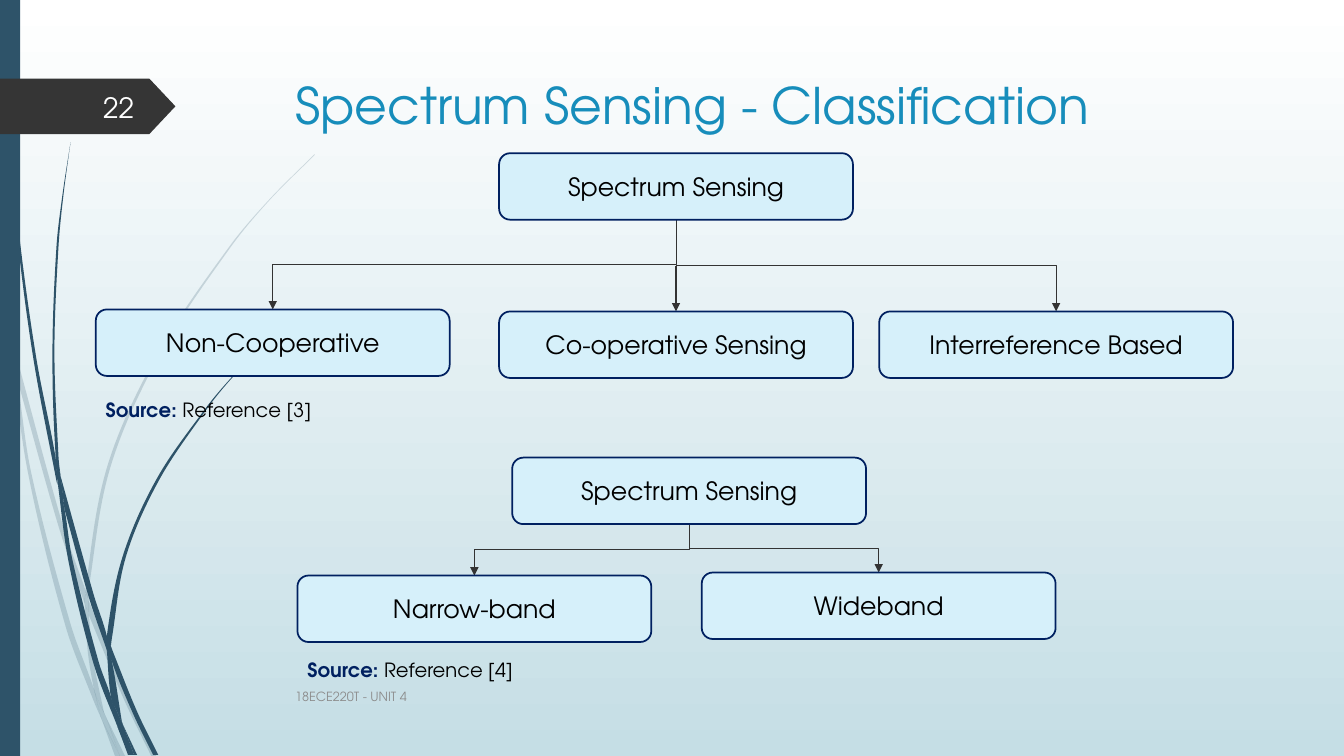
from lxml.etree import SubElement
from pptx import Presentation
from pptx.dml.color import RGBColor
from pptx.enum.shapes import MSO_CONNECTOR, MSO_SHAPE
from pptx.enum.text import MSO_ANCHOR, PP_ALIGN
from pptx.oxml.ns import qn
from pptx.util import Pt

PX = 9144
WIDTH, HEIGHT = 1333, 750
NODE_W, NODE_H = 351, 66
FONT = "TeX Gyre Adventor"

WHITE = RGBColor(0xFF, 0xFF, 0xFF)
PALE_TEAL = RGBColor(0xC5, 0xDE, 0xE5)
SLATE = RGBColor(0x2E, 0x53, 0x69)
CHARCOAL = RGBColor(0x35, 0x35, 0x35)
LINE_GRAY = RGBColor(0x33, 0x33, 0x33)
TITLE_BLUE = RGBColor(0x17, 0x8D, 0xBB)
FOOTER_GRAY = RGBColor(0x8C, 0x8C, 0x8C)
NODE_BLUE = RGBColor(0xD6, 0xF0, 0xFA)
NAVY = RGBColor(0x00, 0x20, 0x60)
BLACK = RGBColor(0x00, 0x00, 0x00)

FAINT_BLADES = [
    ([(0, 282), (9, 322), (11, 350)], [(0, 299), (10, 344), (11, 350)]),
    ([(14, 345), (62, 520), (85, 586)], [(17, 376), (58, 522), (84, 599)]),
    ([(88, 596), (127, 692), (155, 750)], [(88, 610), (123, 694), (150, 750)]),
    ([(105, 711), (124, 750)], [(105, 711), (119, 750)]),
    ([(11, 350), (17, 376), (31, 469), (70, 619), (93, 683), (99, 707), (101, 714)],
     [(11, 350), (28, 470), (65, 621), (92, 693), (101, 714)]),
    ([(84, 599), (88, 610), (91, 646), (103, 706), (105, 711)],
     [(84, 599), (87, 646), (93, 683), (96, 692), (105, 711)]),
    ([(312, 153), (268, 197), (228, 244), (158, 348), (107, 461), (85, 584), (88, 596)],
     [(312, 154), (268, 198), (229, 245), (160, 349), (110, 462), (88, 584), (88, 596)]),
    ([(101, 714), (119, 750)], [(101, 714), (114, 750)]),
    ([(85, 586), (88, 596), (88, 610)], [(85, 586), (84, 599), (88, 608)]),
    ([(93, 683), (96, 692), (105, 711), (119, 750)],
     [(93, 683), (99, 707), (101, 714), (119, 750)]),
]
DARK_BLADES = [
    ([(4, 0), (8, 109), (19, 232), (36, 355), (55, 453), (57, 481)],
     [(3, 0), (7, 110), (17, 233), (33, 355), (56, 477), (57, 481)]),
    ([(60, 472), (93, 590), (106, 631), (106, 645)], [(64, 505), (88, 592), (106, 645)]),
    ([(110, 641), (113, 649), (136, 706), (157, 749)],
     [(110, 641), (111, 656), (132, 708), (152, 749)]),
    ([(57, 477), (64, 505), (72, 556), (98, 657), (110, 691), (117, 722)],
     [(57, 477), (68, 557), (93, 659), (117, 722)]),
    ([(70, 141), (62, 193), (56, 245), (52, 349), (55, 449), (60, 472)],
     [(70, 141), (63, 193), (58, 245), (54, 349), (58, 453), (60, 472)]),
    ([(122, 719), (136, 749)], [(122, 719), (133, 749)]),
    ([(55, 449), (60, 472), (64, 505)], [(55, 449), (57, 477), (64, 505)]),
    ([(260, 344), (231, 373), (204, 405), (156, 474), (122, 551), (106, 631), (110, 641)],
     [(261, 344), (231, 374), (205, 406), (158, 476), (125, 552), (111, 633), (110, 641)]),
    ([(117, 722), (131, 749)], [(117, 722), (127, 749)]),
    ([(106, 645), (111, 656), (121, 716), (122, 719)],
     [(106, 645), (110, 691), (116, 706), (122, 719)]),
    ([(106, 631), (110, 641), (111, 656)], [(106, 631), (106, 645), (111, 656)]),
    ([(110, 691), (116, 706), (122, 719), (133, 749)],
     [(110, 691), (117, 722), (130, 749)]),
]


def bend(knots):
    last = len(knots) - 1
    slopes = []
    for i in range(last + 1):
        (x0, y0), (x1, y1) = knots[max(i - 1, 0)], knots[min(i + 1, last)]
        slopes.append((x1 - x0) / (y1 - y0))
    curves = []
    for i in range(last):
        (x0, y0), (x1, y1) = knots[i], knots[i + 1]
        third = (y1 - y0) / 3
        curves.append([(x0, y0), (x0 + slopes[i] * third, y0 + third),
                       (x1 - slopes[i + 1] * third, y1 - third), (x1, y1)])
    return curves


def paint(shape, fill, line=None):
    shape.shadow.inherit = False
    shape.fill.solid()
    shape.fill.fore_color.rgb = fill
    if line is None:
        shape.line.fill.background()
    else:
        shape.line.color.rgb = line
        shape.line.width = Pt(1.25)


def add_blade(slide, left, top, edges, opacity):
    near, far = (bend([(left + x, top + y) for x, y in edge]) for edge in edges)
    tip = far[-1][-1]
    curves = near + [[near[-1][-1], near[-1][-1], tip, tip]]
    curves += [curve[::-1] for curve in far[::-1]]
    builder = slide.shapes.build_freeform(*(v * PX for v in curves[0][0]))
    builder.add_line_segments([(x * PX, y * PX) for *_, (x, y) in curves])
    blade = builder.convert_to_shape()
    paint(blade, SLATE)
    properties = blade.element.spPr
    for segment, curve in zip(list(properties.iter(qn("a:lnTo"))), curves):
        cubic = segment.getparent().makeelement(qn("a:cubicBezTo"))
        for x, y in curve[1:]:
            SubElement(cubic, qn("a:pt"), x=str(round(x * PX) - blade.left),
                       y=str(round(y * PX) - blade.top))
        segment.getparent().replace(segment, cubic)
    if opacity < 100:
        color = properties.find(qn("a:solidFill"))[0]
        SubElement(color, qn("a:alpha"), val=str(opacity * 1000))


def add_block(slide, preset, box, fill, line=None):
    block = slide.shapes.add_shape(preset, *(v * PX for v in box))
    paint(block, fill, line)
    return block


def write(frame, runs, size, align=PP_ALIGN.LEFT, anchor=MSO_ANCHOR.TOP):
    frame.word_wrap = True
    frame.vertical_anchor = anchor
    paragraph = frame.paragraphs[0]
    paragraph.alignment = align
    for words, color, bold in runs:
        run = paragraph.add_run()
        run.text = words
        run.font.name = FONT
        run.font.size = Pt(size)
        run.font.bold = bold
        run.font.color.rgb = color


def add_text(slide, box, runs, size, **layout):
    label = slide.shapes.add_textbox(*(v * PX for v in box))
    write(label.text_frame, runs, size, **layout)


def add_node(slide, left, top, words):
    node = add_block(slide, MSO_SHAPE.ROUNDED_RECTANGLE,
                     (left, top, NODE_W, NODE_H), NODE_BLUE, NAVY)
    write(node.text_frame, [(words, BLACK, False)], 18, PP_ALIGN.CENTER, MSO_ANCHOR.MIDDLE)


def add_branch(slide, x1, y1, x2, y2):
    mid_x, mid_y = (x1 + x2) / 2, (y1 + y2) / 2
    kind, ends = MSO_CONNECTOR.ELBOW, (x1, mid_y, x2, y2)
    if x2 == x1:
        kind = MSO_CONNECTOR.STRAIGHT
    elif x2 < x1:
        half_w, half_h = (x2 - x1) / 2, (y2 - y1) / 2
        ends = (mid_x - half_h, mid_y + half_w, mid_x + half_h, mid_y - half_w)
    branch = slide.shapes.add_connector(kind, *(round(v * PX) for v in ends))
    branch.line.color.rgb = LINE_GRAY
    branch.line.width = Pt(0.75)
    properties = branch.element.spPr
    if x2 < x1:
        properties.find(qn("a:xfrm")).set("rot", "5400000")
    elif x2 > x1:
        properties.find(qn("a:prstGeom")).set("prst", "bentConnector2")
    SubElement(properties.find(qn("a:ln")), qn("a:tailEnd"), type="triangle")
    SubElement(properties, qn("a:effectLst"))


def add_tree(slide, box, root, children, source, source_top):
    left, top, width, height = box
    root_x, root_words = root
    for x, rise, words in children:
        child_top = top + height - NODE_H - rise
        add_branch(slide, left + root_x + NODE_W / 2, top + NODE_H,
                   left + x + NODE_W / 2, child_top)
        add_node(slide, left + x, child_top, words)
    add_node(slide, left + root_x, top, root_words)
    add_text(slide, (left, top + source_top, 512, 34),
             [("Source: ", NAVY, True), (source, BLACK, False)], 14)


def add_backdrop(slide, box):
    left, top, width, height = box
    fill = slide.background.fill
    fill.gradient()
    fill.gradient_angle = 270
    for stop, color, position in zip(fill.gradient_stops, (WHITE, PALE_TEAL), (0, 1)):
        stop.color.rgb = color
        stop.position = position
    for blades, opacity in ((FAINT_BLADES, 20), (DARK_BLADES, 100)):
        for edges in blades:
            add_blade(slide, left, top, edges, opacity)
    add_block(slide, MSO_SHAPE.RECTANGLE, (left, top, 20, height), SLATE)


def add_page_tag(slide, box):
    left, top, width, height = box
    tag = add_block(slide, MSO_SHAPE.PENTAGON, box, CHARCOAL)
    tag.adjustments[0] = 0.47
    add_text(slide, (left + 58, top + 8, 85, 40), [("22", WHITE, False)], 20,
             align=PP_ALIGN.RIGHT, anchor=MSO_ANCHOR.MIDDLE)


deck = Presentation()
deck.slide_width, deck.slide_height = WIDTH * PX, HEIGHT * PX
slide = deck.slides.add_slide(deck.slide_layouts[6])
add_backdrop(slide, (0, 0, WIDTH, HEIGHT))
add_page_tag(slide, (0, 78, 174, 55))
add_text(slide, (283, 69, 975, 84),
         [("Spectrum Sensing - Classification", TITLE_BLUE, False)], 36)
add_text(slide, (283, 671, 833, 40), [("18ECE220T - UNIT 4", FOOTER_GRAY, False)], 9,
         anchor=MSO_ANCHOR.MIDDLE)
add_tree(slide, (95, 152, 1128, 223), (400, "Spectrum Sensing"),
         [(0, 2, "Non-Cooperative"), (400, 0, "Co-operative Sensing"),
          (777, 0, "Interreference Based")], "Reference [3]", 238)
add_tree(slide, (295, 454, 752, 183), (213, "Spectrum Sensing"),
         [(0, 0, "Narrow-band"), (401, 3, "Wideband")], "Reference [4]", 194)
deck.save("out.pptx")
